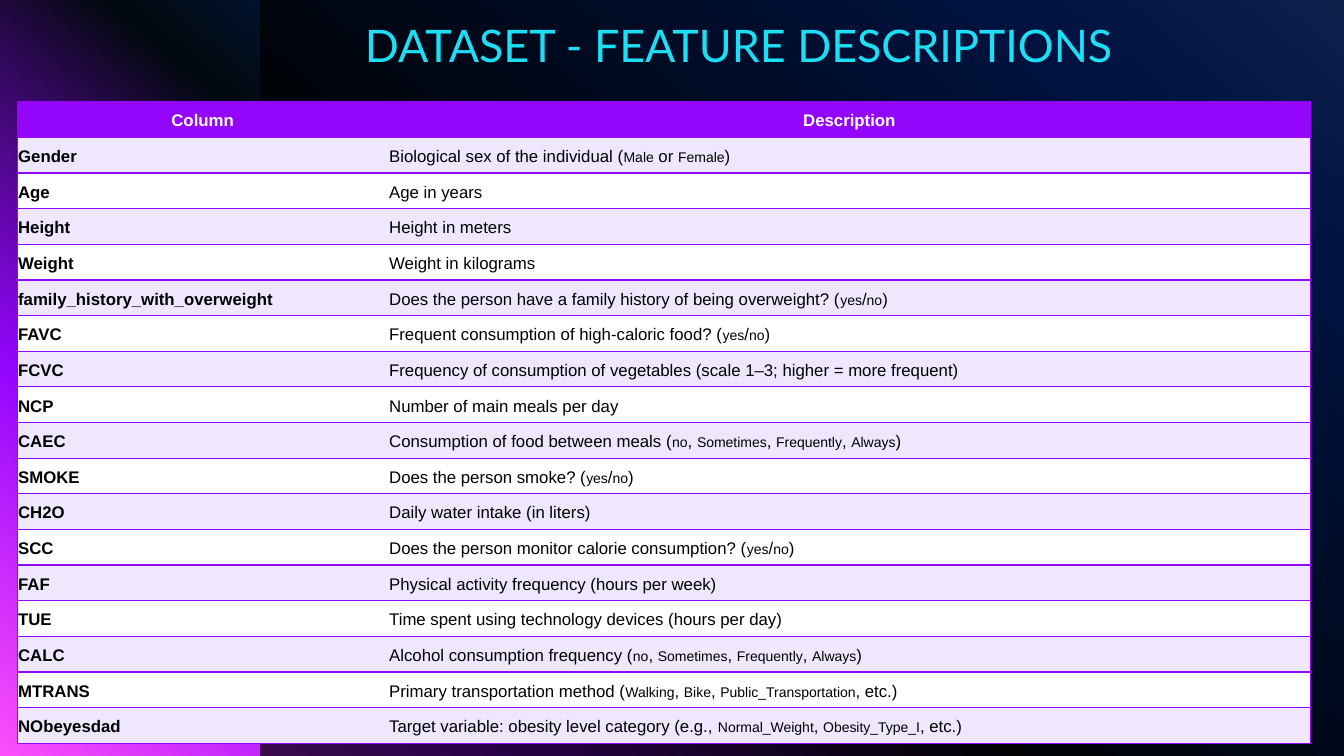
from lxml.etree import SubElement
from pptx import Presentation
from pptx.dml.color import RGBColor
from pptx.enum.shapes import MSO_SHAPE as Preset
from pptx.enum.text import MSO_ANCHOR as Anchor, MSO_AUTO_SIZE as AutoSize, PP_ALIGN as Align
from pptx.oxml import parse_xml
from pptx.oxml.ns import nsdecls, qn
from pptx.util import Inches, Pt

COLORS = {
    "black": "000000", "white": "FFFFFF", "cyan": "1CDFF5",
    "violet": "9405FC", "lavender": "EEE7FE", "sky": "316CFC",
    "blue": "0343DF", "night": "02090E", "pink": "FC4EFB",
}
BACKDROP_STOPS = [(0, "sky"), (14, "blue"), (55, "night"), (79, "violet"), (100, "pink")]
BACKDROP_ANGLE = 130
HEADINGS = ("Column", "Description")
FEATURES = [
    ("Gender", "Biological sex of the individual (`Male` or `Female`)"),
    ("Age", "Age in years"),
    ("Height", "Height in meters"),
    ("Weight", "Weight in kilograms"),
    ("family_history_with_overweight",
     "Does the person have a family history of being overweight? (`yes`/`no`)"),
    ("FAVC", "Frequent consumption of high-caloric food? (`yes`/`no`)"),
    ("FCVC", "Frequency of consumption of vegetables (scale 1–3; higher = more frequent)"),
    ("NCP", "Number of main meals per day"),
    ("CAEC", "Consumption of food between meals (`no`, `Sometimes`, `Frequently`, `Always`)"),
    ("SMOKE", "Does the person smoke? (`yes`/`no`)"),
    ("CH2O", "Daily water intake (in liters)"),
    ("SCC", "Does the person monitor calorie consumption? (`yes`/`no`)"),
    ("FAF", "Physical activity frequency (hours per week)"),
    ("TUE", "Time spent using technology devices (hours per day)"),
    ("CALC", "Alcohol consumption frequency (`no`, `Sometimes`, `Frequently`, `Always`)"),
    ("MTRANS", "Primary transportation method (`Walking`, `Bike`, `Public_Transportation`, etc.)"),
    ("NObeyesdad",
     "Target variable: obesity level category (e.g., `Normal_Weight`, `Obesity_Type_I`, etc.)"),
]


def rgb(name):
    """Return the named colour."""
    return RGBColor.from_string(COLORS[name])


def add_run(paragraph, text, font, size, color, bold=False):
    """Append one formatted run to a paragraph."""
    run = paragraph.add_run()
    run.text = text
    run.font.name = font
    run.font.size = Pt(size)
    run.font.bold = bold
    run.font.color.rgb = rgb(color)


def paint_backdrop(slide):
    """Fill the slide background with the diagonal gradient."""
    fill = slide.background.fill
    fill.gradient()
    fill.gradient_angle = 360 - BACKDROP_ANGLE
    stops = slide.background._cSld.find(".//" + qn("a:gsLst"))
    for stop in list(stops):
        stops.remove(stop)
    for percent, color in BACKDROP_STOPS:
        stop = SubElement(stops, qn("a:gs"), pos=str(percent * 1000))
        SubElement(stop, qn("a:srgbClr"), val=COLORS[color])


def add_veil(slide):
    """Darken the right part of the background with a translucent panel behind the title."""
    veil = slide.shapes.add_shape(
        Preset.RECTANGLE, Inches(2.58), Inches(0), Inches(10.75), Inches(7.5))
    veil.shadow.inherit = False
    veil.line.fill.background()
    veil.fill.solid()
    veil.fill.fore_color.rgb = rgb("black")
    tint = veil.fill._xPr.find(".//" + qn("a:srgbClr"))
    SubElement(tint, qn("a:alpha"), val="70000")
    slide.shapes.title.element.addprevious(veil.element)


def set_title(slide, text):
    """Place and format the title placeholder."""
    title = slide.shapes.title
    title.left, title.top = Inches(3.62), Inches(0.12)
    title.width, title.height = Inches(8.12), Inches(0.65)
    frame = title.text_frame
    frame.auto_size = AutoSize.NONE
    frame.word_wrap = True
    frame.vertical_anchor = Anchor.BOTTOM
    frame.margin_left, frame.margin_right = Inches(0), Inches(0.1)
    frame.margin_top = frame.margin_bottom = Inches(0.05)
    paragraph = frame.paragraphs[0]
    paragraph.alignment = Align.LEFT
    paragraph.line_spacing = 0.9
    add_run(paragraph, text, "Lato", 32, "cyan")


def set_borders(cell, visible):
    """Draw violet borders on the visible sides and clear the others."""
    for position, side in enumerate("LRTB"):
        paint = "<a:noFill/>"
        if side in visible:
            paint = f'<a:solidFill><a:srgbClr val="{COLORS["violet"]}"/></a:solidFill>'
        border = parse_xml(
            f'<a:ln{side} {nsdecls("a")} w="{Pt(1)}">{paint}</a:ln{side}>')
        cell._tc.get_or_add_tcPr().insert(position, border)


def fill_cell(cell, text, fill, borders, color="black", bold=False, align=Align.LEFT):
    """Write a cell, with words between backticks in smaller type."""
    cell.fill.solid()
    cell.fill.fore_color.rgb = rgb(fill)
    set_borders(cell, borders)
    cell.vertical_anchor = Anchor.MIDDLE
    cell.margin_left = cell.margin_right = Inches(0.01)
    cell.margin_top = cell.margin_bottom = Inches(0.01)
    paragraph = cell.text_frame.paragraphs[0]
    paragraph.alignment = align
    paragraph.line_spacing = 1.15
    paragraph.space_after = Pt(8)
    for index, part in enumerate(text.split("`")):
        add_run(paragraph, part, "Arial", 10 if index % 2 else 12, color, bold)


def add_feature_table(slide):
    """Add the table of dataset columns and their descriptions."""
    table = slide.shapes.add_table(
        len(FEATURES) + 1, len(HEADINGS),
        Inches(0.17), Inches(1.01), Inches(12.83), Inches(6.37)).table
    for column, width in zip(table.columns, (3.68, 9.15)):
        column.width = Inches(width)
    sides = ("LTB", "RTB")
    for column, heading in enumerate(HEADINGS):
        fill_cell(table.cell(0, column), heading, "violet", sides[column],
                  "white", True, Align.CENTER)
    for row, feature in enumerate(FEATURES, start=1):
        band = "lavender" if row % 2 else "white"
        for column, text in enumerate(feature):
            fill_cell(table.cell(row, column), text, band, sides[column], bold=column == 0)


def main():
    """Build and save the slide."""
    deck = Presentation()
    deck.slide_width, deck.slide_height = Inches(13.33), Inches(7.5)
    slide = deck.slides.add_slide(deck.slide_layouts[5])
    paint_backdrop(slide)
    add_veil(slide)
    set_title(slide, "DATASET - FEATURE DESCRIPTIONS")
    add_feature_table(slide)
    deck.save("out.pptx")


if __name__ == "__main__":
    main()
